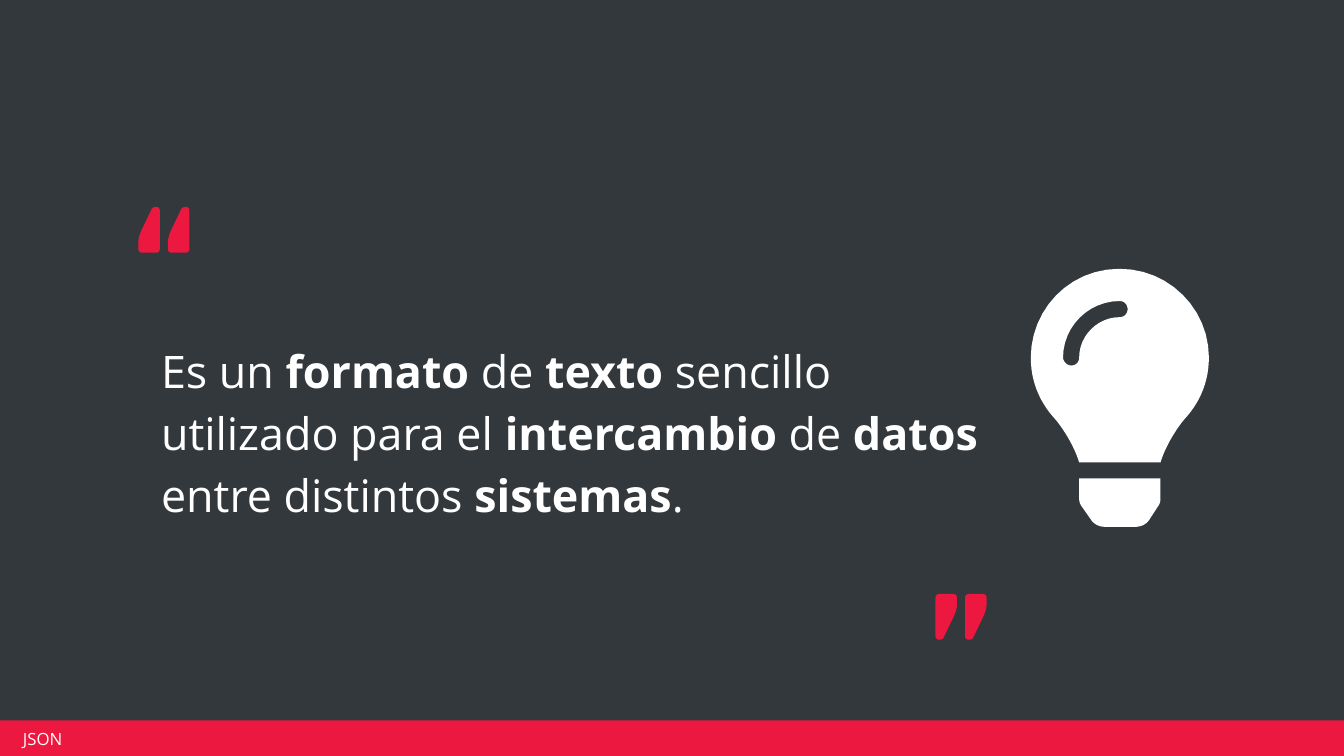
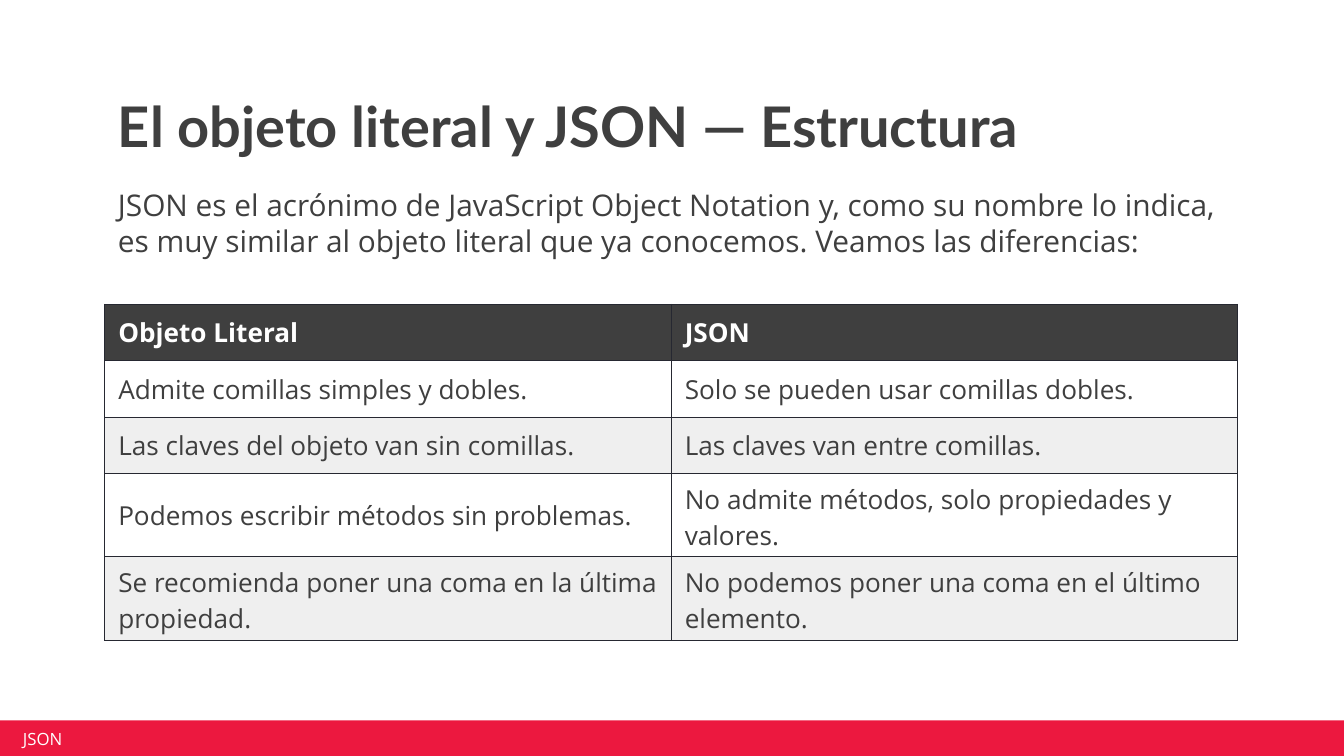
"""Build two slides about JSON: a quoted definition and a comparison table."""
from lxml import etree
from pptx import Presentation
from pptx import util as u
from pptx.dml.color import RGBColor
from pptx.enum import shapes, text
from pptx.oxml.ns import qn

PX = 4572
RED, DARK, INK, WHITE, GREY, BORDER = "EC183F", "33383C", "3F3F3F", "FFFFFF", "EFEFEF", "262831"
BODY, HEAD = "Open Sans", "Lato"
MIDDLE, TOP, BOTTOM = text.MSO_ANCHOR.MIDDLE, text.MSO_ANCHOR.TOP, text.MSO_ANCHOR.BOTTOM
rgb = RGBColor.from_string


def write(holder, runs, size, color, anchor, inset, font=BODY, before=0, spacing=None):
    tf = holder.text_frame
    box = tf if hasattr(holder, "shape_type") else holder
    box.margin_left = box.margin_right = inset[0] * PX
    box.margin_top = box.margin_bottom = inset[1] * PX
    box.vertical_anchor = anchor
    tf.word_wrap = True
    p = tf.paragraphs[0]
    p.space_before = u.Pt(before)
    if spacing:
        p.line_spacing = spacing
    for words, bold in runs:
        r = p.add_run()
        r.text = words
        r.font.size, r.font.name, r.font.bold = u.Pt(size), font, bold
        r.font.color.rgb = rgb(color)


def outline(parent, contours, color, left=0, top=0):
    fb = None
    for start, *steps in contours:
        x, y = start
        points = []
        for step in steps:
            if len(step) == 2:
                points.append(step)
            else:
                x1, y1, x2, y2, x3, y3 = step
                for i in range(1, 13):
                    t = i / 12
                    a, b, c, d = (1 - t) ** 3, 3 * t * (1 - t) ** 2, 3 * t * t * (1 - t), t ** 3
                    points.append((a * x + b * x1 + c * x2 + d * x3, a * y + b * y1 + c * y2 + d * y3))
            x, y = step[-2:]
        first = [(start[0] + left) * PX, (start[1] + top) * PX]
        if fb is None:
            fb = parent.build_freeform(*first, scale=1.0)
        else:
            fb.move_to(*first)
        fb.add_line_segments([((px + left) * PX, (py + top) * PX) for px, py in points], close=True)
    sp = fb.convert_to_shape()
    sp.shadow.inherit = False
    sp.fill.solid()
    sp.fill.fore_color.rgb = rgb(color)
    sp.line.fill.background()
    return sp


prs = Presentation()
prs.slide_width, prs.slide_height = 2000 * PX, 1125 * PX
quote, compare = [prs.slides.add_slide(prs.slide_layouts[6]) for _ in range(2)]
for s, color in ((quote, DARK), (compare, WHITE)):
    s.background.fill.solid()
    s.background.fill.fore_color.rgb = rgb(color)

definition = [
    ("Es un ", False), ("formato ", True), ("de ", False), ("texto ", True),
    ("sencillo utilizado para el ", False), ("intercambio ", True), ("de ", False),
    ("datos ", True), ("entre distintos ", False), ("sistemas", True), (".", False),
]
sp = quote.shapes.add_textbox(220 * PX, 416 * PX, 1298 * PX, 444 * PX)
write(sp, definition, 24, WHITE, MIDDLE, (20, 10), before=6, spacing=1.15)

bulb_base = [
    (1606, 742), (1606, 746, 1607, 750, 1610, 754), (1624, 774), (1628, 780, 1636, 784, 1644, 784),
    (1690, 784), (1698, 784, 1706, 780, 1710, 774), (1723, 754), (1726, 750, 1727, 746, 1727, 742),
    (1727, 712), (1606, 712),
]
bulb_glass = [
    (1534, 532), (1534, 566, 1546, 596, 1567, 620), (1580, 634, 1598, 662, 1606, 688), (1727, 688),
    (1735, 662, 1753, 634, 1766, 620), (1787, 596, 1799, 566, 1799, 532),
    (1799, 460, 1740, 400, 1666, 400), (1590, 400, 1534, 462, 1534, 532),
]
bulb_shine = [
    (1666, 472), (1634, 472, 1606, 499, 1606, 532), (1606, 538, 1602, 544, 1594, 544),
    (1588, 544, 1582, 538, 1582, 532), (1582, 486, 1620, 448, 1666, 448),
    (1674, 448, 1678, 454, 1678, 460), (1678, 466, 1674, 472, 1666, 472),
]
outline(quote.shapes, [bulb_base, bulb_glass, bulb_shine], WHITE)

mark = [
    (26, 0), (24, 0, 21, 1, 20, 3), (6, 32), (3, 38, 0, 46, 0, 52), (0, 62),
    (0, 66, 2, 68, 6, 68), (26, 68), (30, 68, 32, 66, 32, 62), (32, 6), (32, 2, 30, 0, 26, 0),
]
for left, top, angle in ((206, 308, 0), (1392, 884, 180)):
    group = quote.shapes.add_group_shape()
    for i in range(2):
        outline(group.shapes, [mark], RED, left + 44 * i, top).rotation = angle

sp = compare.shapes.add_textbox(156 * PX, 120 * PX, 1686 * PX, 138 * PX)
write(sp, [("El objeto literal y JSON — Estructura", True)], 30, INK, BOTTOM, (20, 20), HEAD, spacing=0.9)
intro = ("JSON es el acrónimo de JavaScript Object Notation y, como su nombre lo indica, "
         "es muy similar al objeto literal que ya conocemos. Veamos las diferencias:")
sp = compare.shapes.add_textbox(156 * PX, 258 * PX, 1686 * PX, 106 * PX)
write(sp, [(intro, False)], 16, INK, TOP, (20, 20), before=6)

rows = [
    ("Objeto Literal", "JSON"),
    ("Admite comillas simples y dobles.", "Solo se pueden usar comillas dobles."),
    ("Las claves del objeto van sin comillas.", "Las claves van entre comillas."),
    ("Podemos escribir métodos sin problemas.", "No admite métodos, solo propiedades y valores."),
    ("Se recomienda poner una coma en la última propiedad.",
     "No podemos poner una coma en el último elemento."),
]
heights = [84, 84, 84, 124, 124]
table = compare.shapes.add_table(5, 2, 156 * PX, 453 * PX, 1686 * PX, sum(heights) * PX).table
table.horz_banding = False
for i, (row, height) in enumerate(zip(rows, heights)):
    table.rows[i].height = height * PX
    for j, words in enumerate(row):
        cell = table.cell(i, j)
        write(cell, [(words, i == 0)], 14, WHITE if i == 0 else INK, MIDDLE, (20, 12), before=6)
        tcPr = cell._tc.get_or_add_tcPr()
        for side in ("a:lnL", "a:lnR", "a:lnT", "a:lnB"):
            ln = etree.SubElement(tcPr, qn(side), w=str(u.Pt(0.75)))
            fill = etree.SubElement(ln, qn("a:solidFill"))
            etree.SubElement(fill, qn("a:srgbClr"), val=BORDER)
        if i % 2:
            cell.fill.background()
        else:
            cell.fill.solid()
            cell.fill.fore_color.rgb = rgb(GREY if i else INK)

for s in (quote, compare):
    sp = s.shapes.add_shape(shapes.MSO_SHAPE.RECTANGLE, -4 * PX, 1072 * PX, 2006 * PX, 54 * PX)
    sp.shadow.inherit = False
    sp.fill.solid()
    sp.fill.fore_color.rgb = rgb(RED)
    sp.line.fill.background()
    sp = s.shapes.add_textbox(24 * PX, 1084 * PX, 478 * PX, 30 * PX)
    write(sp, [("JSON", False)], 9, WHITE, MIDDLE, (10, 4))

prs.save("out.pptx")
